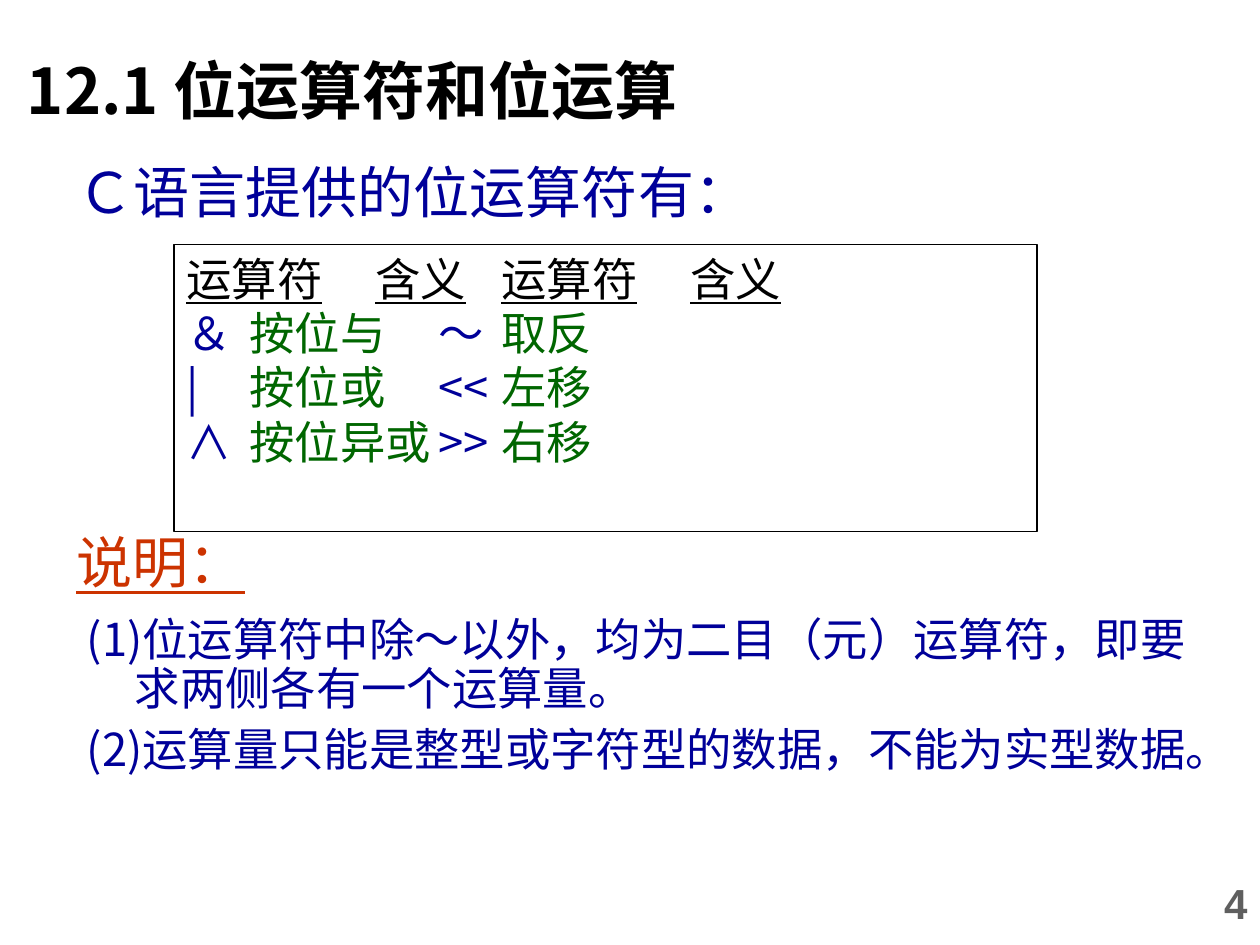
"""Build a slide about the bitwise operators of the C language."""
from dataclasses import dataclass, field

from pptx import Presentation
from pptx.dml.color import RGBColor
from pptx.enum.shapes import MSO_SHAPE
from pptx.enum.text import MSO_ANCHOR, MSO_AUTO_SIZE, PP_ALIGN
from pptx.oxml.ns import qn
from pptx.util import Pt

LEFT, CENTER, RIGHT = PP_ALIGN.LEFT, PP_ALIGN.CENTER, PP_ALIGN.RIGHT
TOP, MIDDLE = MSO_ANCHOR.TOP, MSO_ANCHOR.MIDDLE
RECTANGLE = MSO_SHAPE.RECTANGLE
NO_AUTOFIT = MSO_AUTO_SIZE.NONE

TITLE_ONLY = 5
HANGING = 27.4
CJK_FONT = "Noto Sans CJK SC"
COLORS = {
    "black": "000000",
    "white": "FFFFFF",
    "blue": "000099",
    "green": "006600",
    "red": "CC3300",
    "gray": "5F5F5F",
}


@dataclass
class Span:
    text: str
    color: str
    size: float = 25.9
    font: dict = field(default_factory=dict)


@dataclass
class Line:
    spans: list[Span]
    format: dict = field(default_factory=dict)
    tabs: tuple = ()
    hanging: float = 0


@dataclass
class Block:
    box: tuple
    lines: list[Line]
    frame: dict = field(default_factory=dict)


def color(name: str) -> RGBColor:
    return RGBColor.from_string(COLORS[name])


def apply(target, values: dict) -> None:
    for name, value in values.items():
        setattr(target, name, value)


def place(shape, box: tuple) -> None:
    names = ("left", "top", "width", "height")
    apply(shape, {name: Pt(value) for name, value in zip(names, box)})


def add_span(paragraph, span: Span) -> None:
    run = paragraph.add_run()
    run.text = span.text
    apply(run.font, {"name": CJK_FONT, "size": Pt(span.size), **span.font})
    run.font.color.rgb = color(span.color)
    east_asian = run.font._element.makeelement(qn("a:ea"), {"typeface": run.font.name})
    run.font._element.find(qn("a:latin")).addnext(east_asian)


def format_line(paragraph, line: Line) -> None:
    apply(paragraph, {"alignment": LEFT, **line.format})
    properties = paragraph._p.get_or_add_pPr()
    properties.set("marL", str(Pt(line.hanging)))
    properties.set("indent", str(-Pt(line.hanging)))
    if line.tabs:
        stops = properties.makeelement(qn("a:tabLst"), {})
        properties.append(stops)
        for position in line.tabs:
            stop = stops.makeelement(qn("a:tab"), {"pos": str(Pt(position)), "algn": "l"})
            stops.append(stop)


def write(shape, block: Block) -> None:
    place(shape, block.box)
    frame = shape.text_frame
    margins = {
        "margin_left": Pt(7.2),
        "margin_right": Pt(7.2),
        "margin_top": Pt(3.6),
        "margin_bottom": Pt(3.6),
    }
    defaults = {"auto_size": NO_AUTOFIT, "word_wrap": True, "vertical_anchor": TOP}
    apply(frame, {**margins, **defaults, **block.frame})
    for index, line in enumerate(block.lines):
        paragraph = frame.add_paragraph() if index else frame.paragraphs[0]
        format_line(paragraph, line)
        for span in line.spans:
            add_span(paragraph, span)


def operator_line(first: str, meaning: str, second: str, other: str, tabs: tuple) -> Line:
    spans = [
        Span(f"{first}\t", "blue"),
        Span(f"{meaning}\t", "green"),
        Span(f"{second}\t", "blue"),
        Span(other, "green"),
    ]
    return Line(spans, {"line_spacing": 1.0}, tabs)


def note_line(text: str) -> Line:
    spacing = {"line_spacing": 0.9, "space_before": Pt(7)}
    return Line([Span(text, "blue")], spacing, hanging=HANGING)


HEADER = Line(
    [Span("运算符\t含义\t运算符\t含义", "black", font={"underline": True})],
    {"line_spacing": 1.0},
    (89, 181, 282),
)
TITLE = Block(
    (0, 25.9, 720, 58.3),
    [Line([Span(" 12.1 位运算符和位运算", "black", 36, {"bold": True})])],
)
OPERATORS = Block(
    (99.4, 139.7, 493.2, 164.2),
    [
        HEADER,
        operator_line("＆", "按位与", "～", "取反", (54.5, 172, 239.5)),
        operator_line("|", "按位或", "<<", "左移", (47.5, 171.5, 248)),
        operator_line("∧", "按位异或", ">>", "右移", (54.5, 193, 269)),
    ],
)
TEXTS = [
    Block(
        (313.2, 491.8, 406.8, 48.2),
        [Line([Span("4", "gray", 24, {"name": "Arial", "bold": True})], {"alignment": RIGHT})],
        {"vertical_anchor": MIDDLE},
    ),
    Block(
        (42.5, 349.2, 652.3, 147.6),
        [
            note_line("(1)位运算符中除～以外，均为二目（元）运算符，即要求两侧各有一个运算量。"),
            note_line("(2)运算量只能是整型或字符型的数据，不能为实型数据。"),
        ],
    ),
    Block(
        (37.4, 86.4, 406.1, 46.1),
        [Line([Span("Ｃ语言提供的位运算符有：", "blue", 32)])],
        {"vertical_anchor": MIDDLE, "word_wrap": False},
    ),
    Block(
        (36.7, 298.1, 110.2, 46.1),
        [Line([Span("说明：", "red", 32, {"underline": True})], {"alignment": CENTER})],
        {"word_wrap": False},
    ),
]


def main() -> None:
    presentation = Presentation()
    apply(presentation, {"slide_width": Pt(720), "slide_height": Pt(540)})
    slide = presentation.slides.add_slide(presentation.slide_layouts[TITLE_ONLY])
    title = slide.shapes.title
    title.fill.solid()
    title.fill.fore_color.rgb = color("white")
    write(title, TITLE)

    operators = slide.shapes.add_shape(RECTANGLE, *map(Pt, OPERATORS.box))
    operators.shadow.inherit = False
    operators.fill.background()
    operators.line.color.rgb = color("black")
    operators.line.width = Pt(0.75)
    write(operators, OPERATORS)

    for block in TEXTS:
        write(slide.shapes.add_textbox(*map(Pt, block.box)), block)
    presentation.save("out.pptx")


if __name__ == "__main__":
    main()
